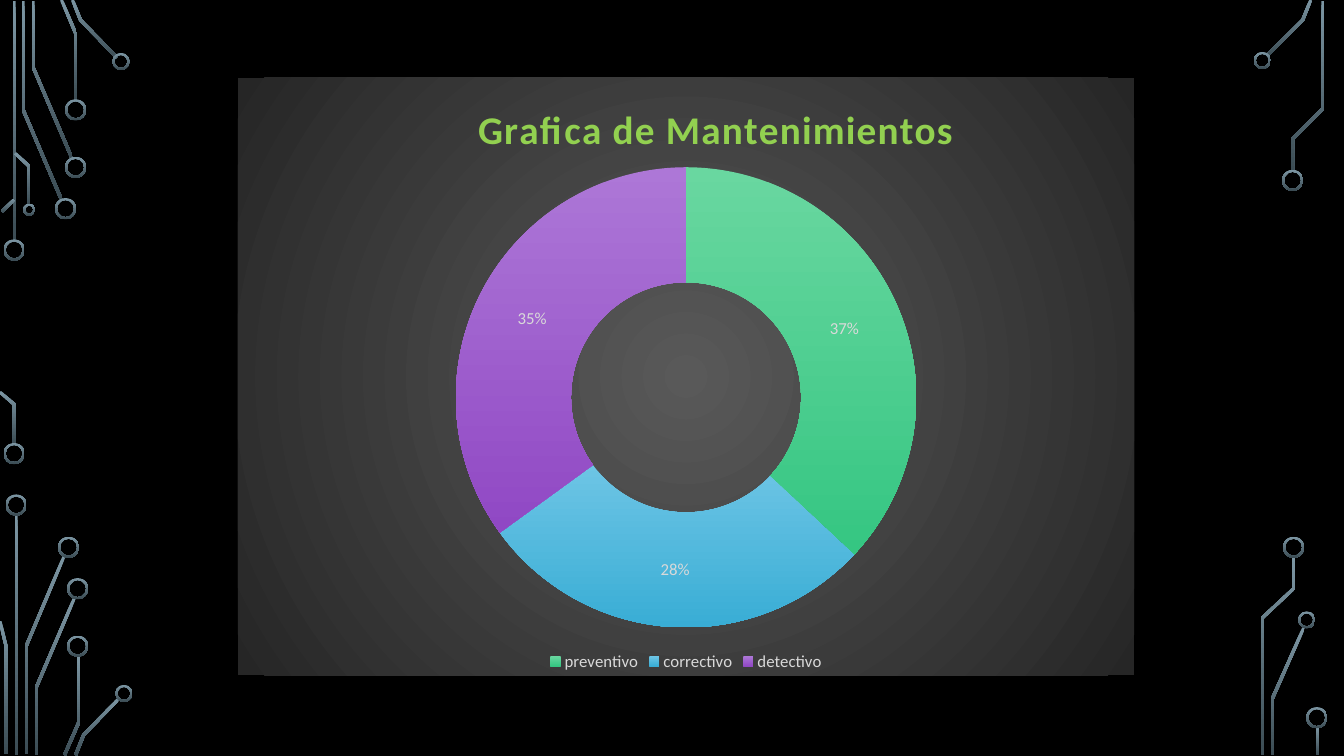
from dataclasses import dataclass
from math import hypot

from lxml import etree
from pptx import Presentation
from pptx.chart.data import CategoryChartData
from pptx.dml.color import RGBColor
from pptx.enum.chart import XL_CHART_TYPE, XL_LEGEND_POSITION
from pptx.enum.shapes import MSO_SHAPE
from pptx.oxml import parse_xml
from pptx.oxml.ns import qn
from pptx.util import Inches, Pt

DOUGHNUT = XL_CHART_TYPE.DOUGHNUT
LEGEND_BOTTOM = XL_LEGEND_POSITION.BOTTOM
RING = MSO_SHAPE.DONUT
RECTANGLE = MSO_SHAPE.RECTANGLE
NAMESPACES = (
    'xmlns:c="http://schemas.openxmlformats.org/drawingml/2006/chart" '
    'xmlns:a="http://schemas.openxmlformats.org/drawingml/2006/main"'
)


@dataclass(frozen=True)
class Theme:
    font: str = "Calibri"
    background: str = "000000"
    circuit: tuple = ("7C96A3", "3B4C54")
    panel: tuple = ("595959", "262626")
    slices: tuple = (("69D7A0", "35C682"), ("6DC5E5", "39ADD5"), ("AD77D7", "9048C4"))
    title: str = "92D050"
    label: str = "D9D9D9"
    title_size: int = 28
    label_size: int = 12
    title_spacing: int = 100


THEME = Theme()
SLIDE_W, SLIDE_H = 13.33, 7.5
STRIP_W = 1.35
TRACE_WIDTH = 0.03
RING_WALL = 0.02
LARGE, MEDIUM, SMALL = 0.21, 0.17, 0.12

# Lengths in inches from the left top corner of each strip
LEFT_TRACES = [
    [(0.14, 0.01), (0.14, 2.4)],
    [(0.23, 0.01), (0.23, 1.09), (0.61, 1.98)],
    [(0.33, 0.01), (0.33, 0.67), (0.71, 1.56)],
    [(0.61, 0), (0.75, 0.33), (0.75, 1)],
    [(0.72, 0), (0.8, 0.2), (1.16, 0.57)],
    [(0.02, 2.1), (0.14, 1.98)],
    [(0, 3.89), (0.14, 4.01), (0.14, 4.41)],
    [(0.15, 1.52), (0.29, 1.65), (0.29, 2.03)],
    [(0.16, 5.1), (0.16, 7.49)],
    [(0.26, 7.48), (0.26, 6.41), (0.64, 5.51)],
    [(0.06, 7.48), (0.06, 6.41), (0, 6.16)],
    [(0.36, 7.49), (0.36, 6.82), (0.74, 5.93)],
    [(0.64, 7.49), (0.78, 7.17), (0.78, 6.5)],
    [(0.75, 7.49), (0.83, 7.29), (1.18, 6.93)],
]
LEFT_RINGS = [
    (0.14, 2.48, LARGE), (0.14, 4.5, LARGE), (0.65, 2.07, LARGE),
    (0.75, 1.66, LARGE), (0.75, 1.09, LARGE), (1.2, 0.61, MEDIUM),
    (0.29, 2.08, SMALL), (0.16, 5.01, LARGE), (0.68, 5.43, LARGE),
    (0.77, 5.84, LARGE), (0.77, 6.41, LARGE), (1.23, 6.88, MEDIUM),
]
RIGHT_TRACES = [
    [(0.19, 0.55), (0.54, 0.2), (0.62, 0)],
    [(0.24, 7.49), (0.24, 6.93), (0.55, 6.23)],
    [(0.44, 1.69), (0.44, 1.38), (0.74, 1.08), (0.74, 0.01)],
    [(0.45, 5.52), (0.45, 5.84), (0.14, 6.13), (0.14, 7.49)],
    [(0.69, 7.21), (0.69, 7.49)],
]
RIGHT_RINGS = [
    (0.14, 0.6, MEDIUM), (0.44, 1.79, LARGE), (0.58, 6.15, MEDIUM),
    (0.45, 5.43, LARGE), (0.68, 7.12, LARGE),
]


def fill_gradient(fill, colors):
    """Fill from the first colour at the top to the second at the bottom."""
    fill.gradient()
    fill.gradient_angle = 270
    for stop, color in zip(fill.gradient_stops, colors):
        stop.color.rgb = RGBColor.from_string(color)


def style_circuit(part):
    part.shadow.inherit = False
    fill_gradient(part.fill, THEME.circuit)
    part.line.fill.background()


def trace_outline(path):
    """Return the corners of a mitred band that follows the path."""
    normals = []
    for (x1, y1), (x2, y2) in zip(path, path[1:]):
        length = hypot(x2 - x1, y2 - y1)
        normals.append(((y1 - y2) / length, (x2 - x1) / length))
    one_side, other_side = [], []
    for (x, y), (ax, ay), (bx, by) in zip(
        path, normals[:1] + normals, normals + normals[-1:]
    ):
        reach = TRACE_WIDTH / 2 / (1 + ax * bx + ay * by)
        dx, dy = (ax + bx) * reach, (ay + by) * reach
        one_side.append((x + dx, y + dy))
        other_side.append((x - dx, y - dy))
    return one_side + other_side[::-1]


def add_trace(slide, path):
    (x1, y1), (x2, y2) = path[0], path[-1]
    if len(path) == 2 and x1 == x2:
        trace = slide.shapes.add_shape(
            RECTANGLE, Inches(x1 - TRACE_WIDTH / 2), Inches(y1),
            Inches(TRACE_WIDTH), Inches(y2 - y1),
        )
    else:
        start, *corners = [(Inches(x), Inches(y)) for x, y in trace_outline(path)]
        builder = slide.shapes.build_freeform(*start)
        builder.add_line_segments(corners, close=True)
        trace = builder.convert_to_shape()
    style_circuit(trace)


def add_circuit_strip(slide, box, traces, rings):
    left, top, _, _ = box
    for path in traces:
        add_trace(slide, [(left + x, top + y) for x, y in path])
    for x, y, size in rings:
        ring = slide.shapes.add_shape(
            RING, Inches(left + x - size / 2), Inches(top + y - size / 2),
            Inches(size), Inches(size),
        )
        ring.adjustments[0] = RING_WALL / size
        style_circuit(ring)


def set_layout(parent, index, **shares):
    """Place a chart part by shares of the chart's size."""
    for old in parent.findall(qn("c:layout")):
        parent.remove(old)
    layout = parse_xml(f"<c:layout {NAMESPACES}><c:manualLayout/></c:layout>")
    settings = {"xMode": "edge", "yMode": "edge", **shares}
    if "w" in shares:
        settings = {"layoutTarget": "inner", **settings}
    for name, value in settings.items():
        etree.SubElement(layout[0], qn(f"c:{name}")).set("val", str(value))
    parent.insert(index, layout)


def style_font(font, size, color):
    font.name = THEME.font
    font.size = Pt(size)
    font.color.rgb = RGBColor.from_string(color)


def fill_panel(chart_space):
    inner, outer = THEME.panel
    chart_space.find(qn("c:chart")).addnext(parse_xml(
        f'<c:spPr {NAMESPACES}><a:gradFill><a:gsLst>'
        f'<a:gs pos="0"><a:srgbClr val="{inner}"/></a:gs>'
        f'<a:gs pos="100000"><a:srgbClr val="{outer}"/></a:gs></a:gsLst>'
        '<a:path path="circle"><a:fillToRect l="50000" t="50000" r="50000" b="50000"/>'
        '</a:path></a:gradFill><a:ln><a:noFill/></a:ln></c:spPr>'
    ))


def add_maintenance_chart(slide, box):
    data = CategoryChartData()
    data.categories = ["preventivo", "correctivo", "detectivo"]
    data.add_series("Series 1", (37, 28, 35))
    chart = slide.shapes.add_chart(DOUGHNUT, *map(Inches, box), data).chart
    style_font(chart.font, THEME.label_size, THEME.label)
    chart_space = chart.element if hasattr(chart, "element") else chart._chartSpace
    fill_panel(chart_space)

    chart.has_title = True
    heading = chart.chart_title.text_frame.paragraphs[0]
    heading.text = "Grafica de Mantenimientos"
    style_font(heading.font, THEME.title_size, THEME.title)
    heading.font.bold = True
    for properties in chart_space.iterfind(f".//{qn('c:title')}//{qn('a:defRPr')}"):
        properties.set("spc", str(THEME.title_spacing))
    set_layout(chart_space.find(f".//{qn('c:title')}"), 1, x=0.26, y=0.03)

    plot = chart.plots[0]
    plot.vary_by_categories = True
    set_layout(chart_space.find(f".//{qn('c:plotArea')}"), 0, x=0.24, y=0.15, w=0.52, h=0.77)
    chart_space.find(f".//{qn('c:holeSize')}").set("val", "75")
    for index, colors in enumerate(THEME.slices):
        piece = plot.series[0].points[index].format
        fill_gradient(piece.fill, colors)
        piece.line.fill.background()

    plot.has_data_labels = True
    labels = plot.data_labels
    labels.show_percentage = True
    labels.show_value = False
    labels.number_format = "0%"
    labels.number_format_is_linked = False
    style_font(labels.font, THEME.label_size, THEME.label)

    chart.has_legend = True
    chart.legend.position = LEGEND_BOTTOM
    chart.legend.include_in_layout = False
    style_font(chart.legend.font, THEME.label_size, THEME.label)


def main():
    deck = Presentation()
    deck.slide_width, deck.slide_height = Inches(SLIDE_W), Inches(SLIDE_H)
    slide = deck.slides.add_slide(deck.slide_layouts[6])
    slide.background.fill.solid()
    slide.background.fill.fore_color.rgb = RGBColor.from_string(THEME.background)
    add_circuit_strip(slide, (0, 0, STRIP_W, SLIDE_H), LEFT_TRACES, LEFT_RINGS)
    right_box = (SLIDE_W - STRIP_W + 0.4, 0, STRIP_W - 0.4, SLIDE_H)
    add_circuit_strip(slide, right_box, RIGHT_TRACES, RIGHT_RINGS)
    add_maintenance_chart(slide, (2.36, 0.77, 8.89, 5.93))
    deck.save("out.pptx")


if __name__ == "__main__":
    main()
